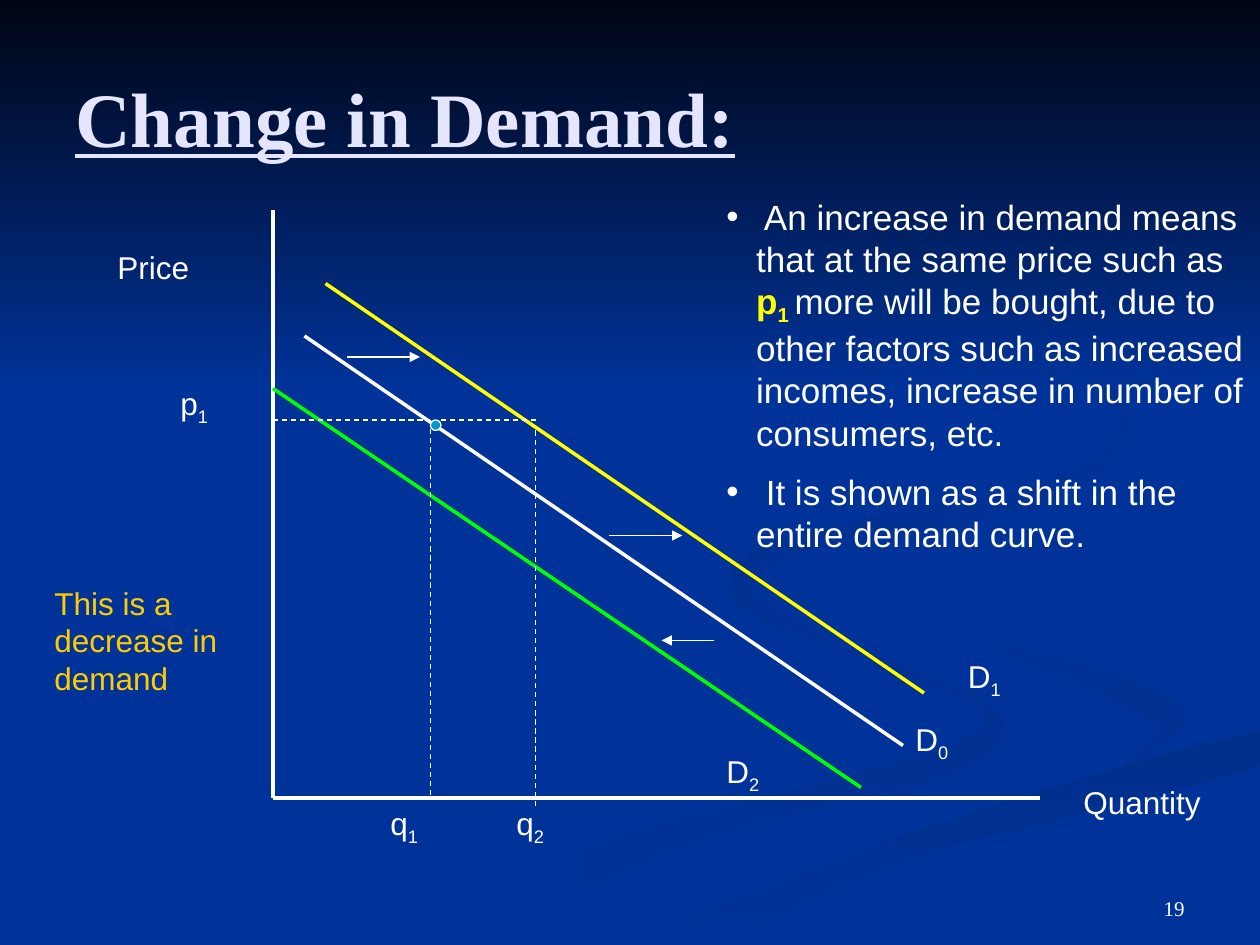
from lxml import etree
from pptx import Presentation
from pptx.dml.color import RGBColor
from pptx.enum import dml, shapes, text
from pptx.oxml import ns
from pptx.util import Pt

WHITE, YELLOW, GREEN, GOLD = "FFFFFF", "FFFF00", "00FF00", "FFCC00"
BLUE = "003399"
TITLE_FONT, BODY_FONT = "Times New Roman", "Arial"

# Background ribbons: (start colour, end colour, clockwise angle, knots of a smooth outline)
RIBBONS = [
    (BLUE, "003193", 0, [
        (414, 330), (442, 357), (526, 384), (574, 413), (544, 442), (406, 479),
        (260, 539), (216, 539), (359, 476), (503, 438), (564, 410), (489, 374)]),
    (BLUE, "003193", 45, [
        (521, 334), (557, 362), (639, 385), (679, 410), (644, 436), (660, 415),
        (603, 386), (537, 360)]),
    ("002F8C", BLUE, 90, [
        (362, 539), (411, 539), (520, 491), (719, 438), (719, 418), (550, 466)]),
    ("002F8E", BLUE, 45, [
        (549, 168), (629, 215), (644, 248), (594, 289), (467, 314), (429, 335),
        (448, 360), (416, 337), (450, 307), (598, 275), (640, 241), (609, 201)]),
]
SKY = ("000514", BLUE, 90, [(0, 0), (0, 222), (720, 222), (720, 0)])
CURVE_STEPS = 5

ORIGIN_X, ORIGIN_Y = 156, 456
P1, Q1, Q2 = 240, 246, 306
DOT = 6
# (x1, y1, x2, y2, colour)
SOLID_LINES = [
    (ORIGIN_X, 120, ORIGIN_X, ORIGIN_Y, WHITE),
    (ORIGIN_X, ORIGIN_Y, 594, ORIGIN_Y, WHITE),
    (174, 192, 516, 426, WHITE),
    (186, 162, 528, 396, YELLOW),
    (ORIGIN_X, 222, 492, 450, GREEN),
]
GUIDES = [
    (ORIGIN_X, P1, Q1, P1), (Q1, P1, Q1, ORIGIN_Y),
    (Q1 + DOT, P1, Q2, P1), (Q2, P1 + DOT, Q2, ORIGIN_Y + DOT),
]
# (start x, end x, y)
SHIFT_ARROWS = [(198, 240, 204), (348, 390, 306), (408, 378, 366)]

LABEL_HEIGHT = 29
# (left, top, width, text, subscript, colour)
LABELS = [
    (60, 138, 72, "Price", "", WHITE),
    (612, 444, 96, "Quantity", "", WHITE),
    (96, 216, 54, "p", "1", WHITE),
    (216, ORIGIN_Y, 54, "q", "1", WHITE),
    (288, ORIGIN_Y, 54, "q", "2", WHITE),
    (516, 408, 60, "D", "0", WHITE),
    (546, 372, 60, "D", "1", WHITE),
    (408, 426, 60, "D", "2", WHITE),
    (24, 330, 120, "This is a decrease in demand", "", GOLD),
]

BODY = dict(name=BODY_FONT, size=Pt(20), color=WHITE)
P1_MARK = dict(BODY, color=YELLOW, bold=True)
BULLETS = [
    [(" An increase in demand means that at the same price such as ", BODY),
     ("p", P1_MARK),
     ("1 ", dict(P1_MARK, subscript=True)),
     ("more will be bought, due to other factors such as increased incomes, "
      "increase in number of consumers, etc.", BODY)],
    [(" It is shown as a shift in the entire demand curve.", BODY)],
]


def rgb(value):
    return RGBColor.from_string(value)


def sub(parent, tag, **attrs):
    return etree.SubElement(parent, ns.qn(tag), attrs)


def smooth(knots):
    """Closed Catmull-Rom curve through the knots."""
    points = []
    for i in range(len(knots)):
        quad = [knots[(i + k) % len(knots)] for k in (-1, 0, 1, 2)]
        for step in range(CURVE_STEPS):
            t = step / CURVE_STEPS
            points.append(tuple(
                b + t * (c - a + t * (2*a - 5*b + 4*c - d + t * (3*b - a - 3*c + d))) / 2
                for a, b, c, d in zip(*quad)))
    return points


def add_outline(slide, start, end, angle, points):
    builder = slide.shapes.build_freeform(*points[0], scale=Pt(1))
    builder.add_line_segments(points[1:], close=True)
    sp = builder.convert_to_shape()
    sp.shadow.inherit = False
    sp.line.fill.background()
    sp.fill.gradient()
    sp.fill.gradient_angle = -angle % 360
    for stop, color in zip(sp.fill.gradient_stops, (start, end)):
        stop.color.rgb = rgb(color)


def add_line(slide, ends, color=WHITE, width=0.75, dashed=False, arrow=False):
    line = slide.shapes.add_connector(shapes.MSO_CONNECTOR.STRAIGHT, *map(Pt, ends))
    line.line.color.rgb = rgb(color)
    line.line.width = Pt(width)
    if dashed:
        line.line.dash_style = dml.MSO_LINE.DASH
    if arrow:
        sub(line.line._get_or_add_ln(), "a:tailEnd", type="triangle")
    sub(line._element.spPr, "a:effectLst")


def add_text(slide, box, paragraphs, anchor="TOP", align="LEFT", bullet=False):
    tf = slide.shapes.add_textbox(*map(Pt, box)).text_frame
    tf.word_wrap = True
    tf.vertical_anchor = text.MSO_ANCHOR[anchor]
    for i, runs in enumerate(paragraphs):
        p = tf.add_paragraph() if i else tf.paragraphs[0]
        p.alignment = text.PP_ALIGN[align]
        if i:
            p.space_before = Pt(10)
        if bullet:
            pPr = p._p.get_or_add_pPr()
            pPr.set("marL", str(Pt(17)))
            pPr.set("indent", str(-Pt(17)))
            sub(pPr, "a:buFont", typeface=BODY_FONT)
            sub(pPr, "a:buChar", char="•")
        for words, style in runs:
            r = p.add_run()
            r.text = words
            for key, value in style.items():
                if key == "color":
                    r.font.color.rgb = rgb(value)
                elif key == "subscript":
                    r._r.get_or_add_rPr().set("baseline", "-25000")
                else:
                    setattr(r.font, key, value)


def main():
    prs = Presentation()
    prs.slide_width, prs.slide_height = Pt(720), Pt(540)
    s = prs.slides.add_slide(prs.slide_layouts[6])
    s.background.fill.solid()
    s.background.fill.fore_color.rgb = rgb(BLUE)
    for start, end, angle, knots in RIBBONS:
        add_outline(s, start, end, angle, smooth(knots))
    add_outline(s, *SKY)

    title = dict(name=TITLE_FONT, size=Pt(44), color="E5E5FF", bold=True, underline=True)
    add_text(s, (36, 21.6, 648, 90), [[("Change in Demand:", title)]], anchor="MIDDLE")

    for *ends, color in SOLID_LINES:
        add_line(s, ends, color, width=2)
    for ends in GUIDES:
        add_line(s, ends, dashed=True)
    for x1, x2, y in SHIFT_ARROWS:
        add_line(s, (x1, y, x2, y), arrow=True)

    dot = s.shapes.add_shape(shapes.MSO_SHAPE.FLOWCHART_CONNECTOR,
                             *map(Pt, (Q1, P1, DOT, DOT)))
    dot.shadow.inherit = False
    dot.fill.solid()
    dot.fill.fore_color.rgb = rgb("0099CC")
    dot.line.color.rgb = rgb(WHITE)
    dot.line.width = Pt(0.75)

    for left, top, width, words, subscript, color in LABELS:
        style = dict(name=BODY_FONT, size=Pt(18), color=color)
        runs = [(words, style)]
        if subscript:
            runs.append((subscript, dict(style, subscript=True)))
        height = 72 if color == GOLD else LABEL_HEIGHT
        add_text(s, (left, top, width, height), [runs])
    add_text(s, (408, 108, 312, 213), BULLETS, bullet=True)

    number = dict(name=TITLE_FONT, size=Pt(12), color=WHITE)
    add_text(s, (516, 492, 168, 37.5), [[("19", number)]], anchor="BOTTOM", align="RIGHT")
    prs.save("out.pptx")


if __name__ == "__main__":
    main()
